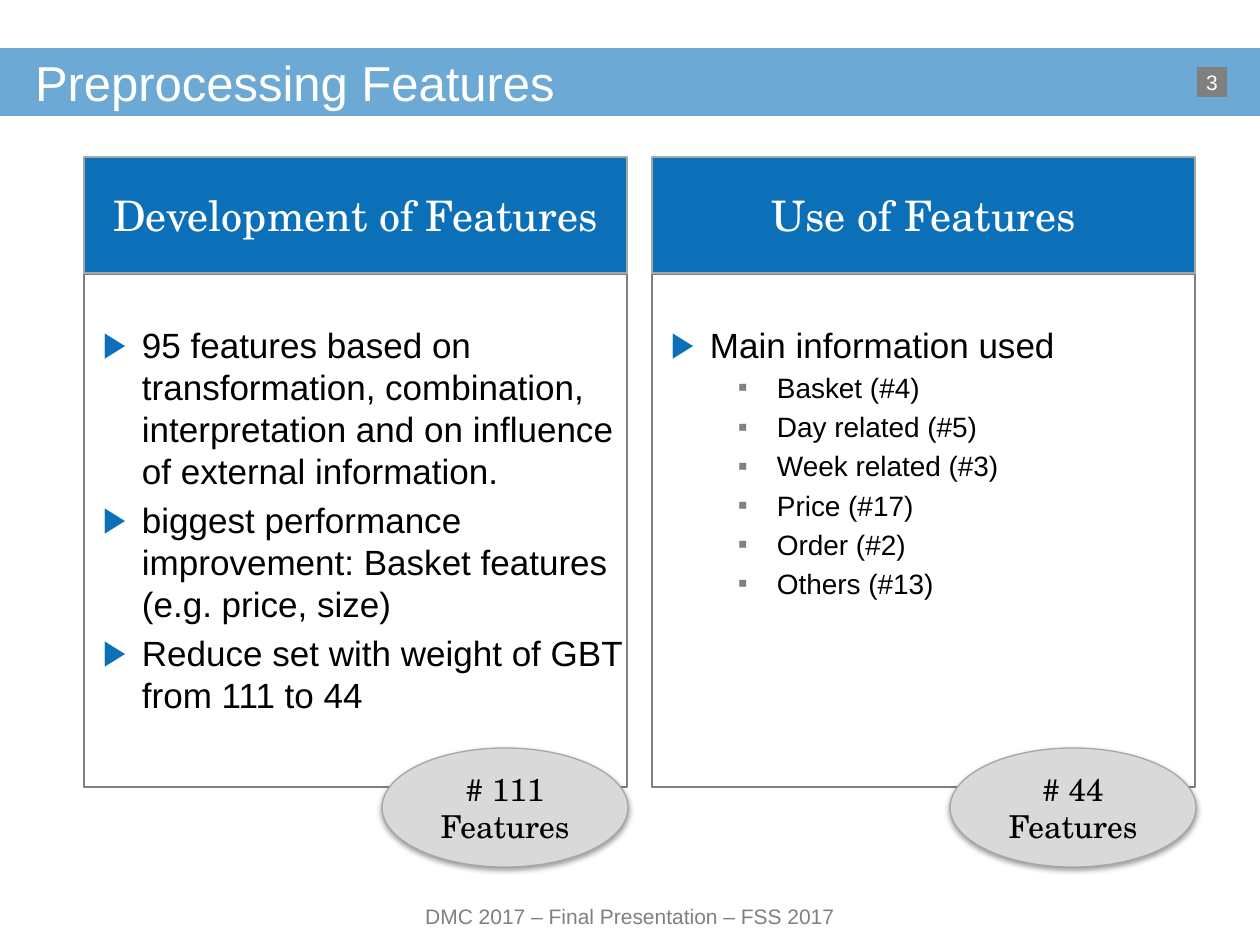
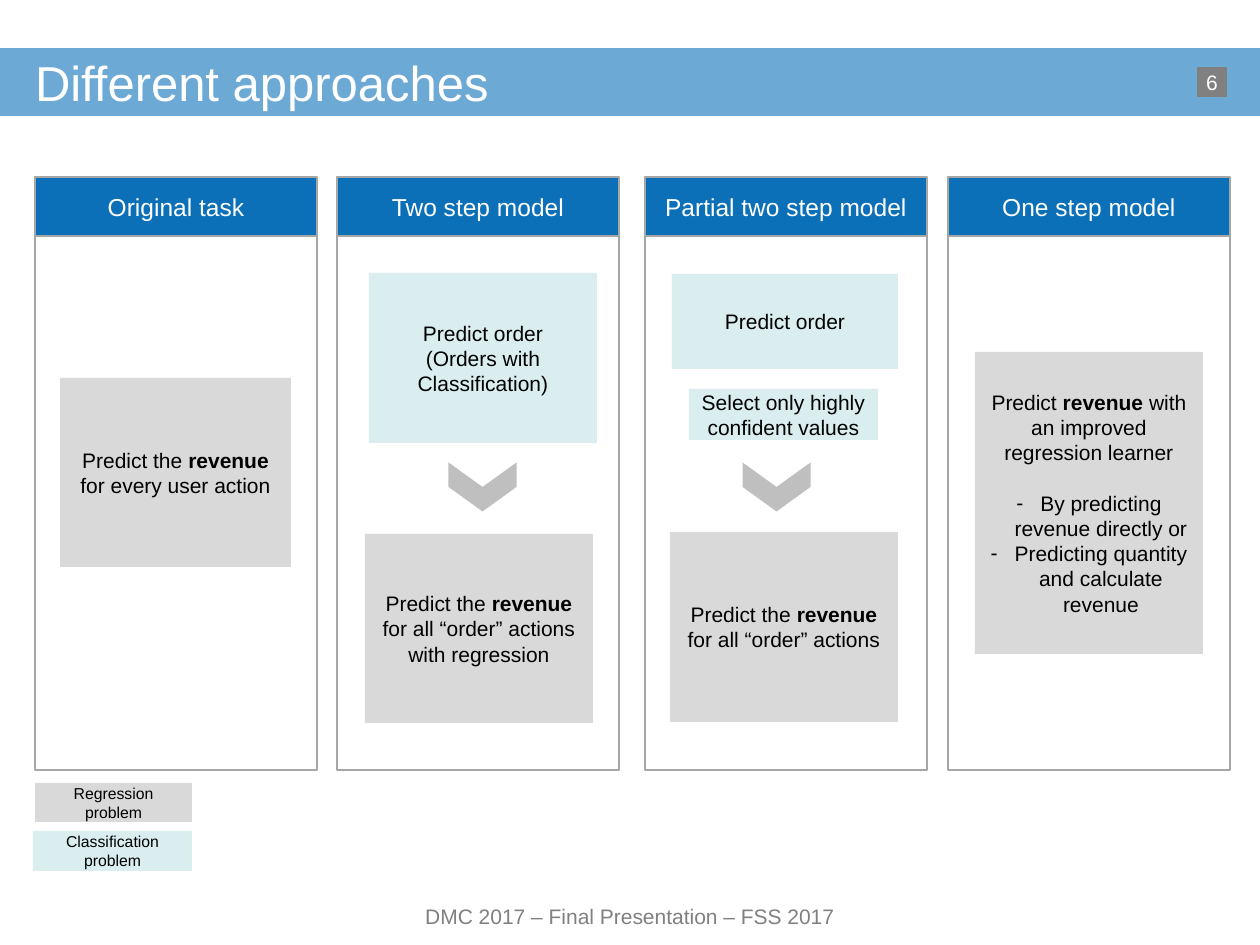
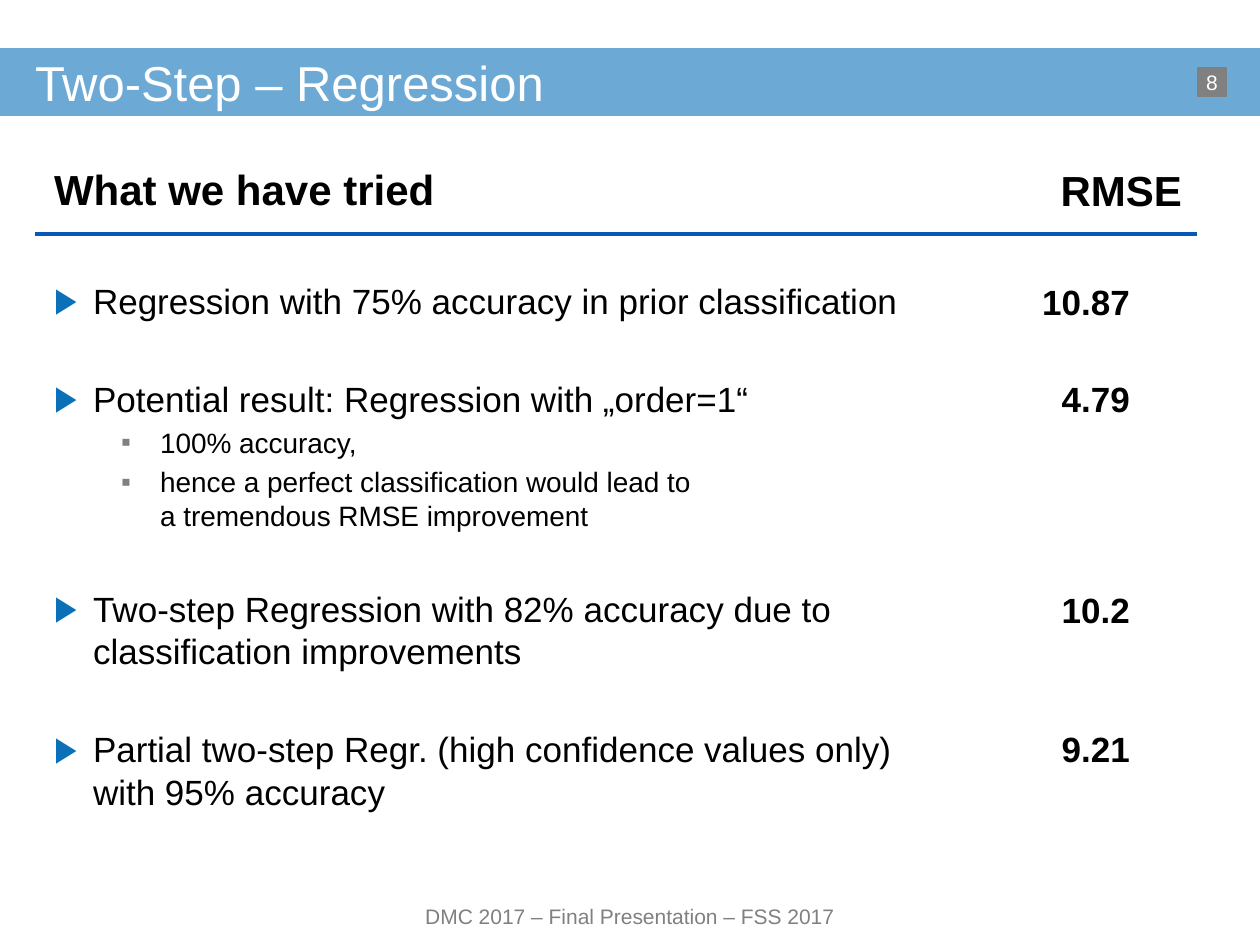
"""Build three slides on features, approaches and regression results."""
from dataclasses import dataclass
from typing import Optional

from lxml.etree import SubElement
from pptx import Presentation
from pptx.dml.color import RGBColor
from pptx.enum.shapes import MSO_CONNECTOR as CONN, MSO_SHAPE as SHAPE
from pptx.enum.text import MSO_ANCHOR as ANCHOR, MSO_AUTO_SIZE as AUTO, PP_ALIGN as ALIGN
from pptx.oxml.ns import qn
from pptx.util import Emu, Pt

EMU_PER_PX = 914400 / 126
SANS, SERIF = "Arial", "TeX Gyre Schola"
BLUE, RULE_BLUE, WHITE, BLACK = "0B70B8", "0858B8", "FFFFFF", "000000"
GRAY, EDGE, CHEVRON = "808080", "A6A6A6", "BFBFBF"
REGRESSION, CLASSIFICATION = "D9D9D9", "DAEDEF"
FOOTER = "DMC 2017 – Final Presentation – FSS 2017"


@dataclass(frozen=True)
class Box:
    left: int
    top: int
    width: int
    height: int


@dataclass(frozen=True)
class Bullet:
    char: str
    color: str
    margin: int
    hanging: int


@dataclass(frozen=True)
class Run:
    text: str
    bold: bool = False


@dataclass(frozen=True)
class Para:
    runs: tuple[Run, ...]
    size: int = 12
    color: str = BLACK
    font: str = SANS
    align: ALIGN = ALIGN.CENTER
    before: float = 0
    bullet: Optional[Bullet] = None
    margin: int = 0


@dataclass(frozen=True)
class Card:
    box: Box
    fill: str
    paras: tuple[Para, ...]


@dataclass(frozen=True)
class FeaturePanel:
    left: int
    heading: str
    items: tuple[Para, ...]
    total: str


ARROW = Bullet("▶", BLUE, 58, 39)
SQUARE = Bullet("▪", GRAY, 125, 39)
DASH = Bullet("-", BLACK, 24, 24)


def px(n: float) -> Emu:
    return Emu(round(n * EMU_PER_PX))


def rgb(color: str) -> RGBColor:
    return RGBColor.from_string(color)


def place(sp, box: Box) -> None:
    sp.left, sp.top = px(box.left), px(box.top)
    sp.width, sp.height = px(box.width), px(box.height)


def para(text: str, size: int = 12, **kw) -> Para:
    return Para((Run(text),), size, **kw)


def item(text: str, before: float = 4) -> Para:
    return para(text, 20, align=ALIGN.LEFT, before=before, bullet=ARROW)


def subitem(text: str) -> Para:
    return para(text, 16, align=ALIGN.LEFT, before=3.2, bullet=SQUARE)


def revenue(before: str, after: str) -> Para:
    return Para((Run(before), Run("revenue", True), Run(after)))


def set_bullet(p, bullet: Bullet) -> None:
    pPr = p._p.get_or_add_pPr()
    pPr.set("marL", str(px(bullet.margin)))
    pPr.set("indent", str(-px(bullet.hanging)))
    SubElement(SubElement(pPr, qn("a:buClr")), qn("a:srgbClr"), val=bullet.color)
    SubElement(pPr, qn("a:buFont"), typeface=SANS)
    SubElement(pPr, qn("a:buChar"), char=bullet.char)


def write(tf, paras: tuple[Para, ...], anchor: ANCHOR = ANCHOR.MIDDLE,
          inset: Optional[int] = None, top: int = 0, wrap: bool = True) -> None:
    tf.word_wrap, tf.auto_size, tf.vertical_anchor = wrap, AUTO.NONE, anchor
    if inset is not None:
        tf.margin_left = tf.margin_right = tf.margin_bottom = px(inset)
        tf.margin_top = px(inset + top)
    for i, entry in enumerate(paras):
        p = tf.add_paragraph() if i else tf.paragraphs[0]
        p.alignment, p.space_before = entry.align, Pt(entry.before)
        if entry.bullet:
            set_bullet(p, entry.bullet)
        elif entry.margin:
            p._p.get_or_add_pPr().set("marL", str(px(entry.margin)))
        for run in entry.runs:
            for n, part in enumerate(run.text.split("\n")):
                if n:
                    p.add_line_break()
                r = p.add_run()
                r.text = part
                r.font.name, r.font.size = entry.font, Pt(entry.size)
                r.font.bold, r.font.color.rgb = run.bold, rgb(entry.color)


def add_box(s, box: Box, fill: Optional[str] = None, line: Optional[str] = None,
            kind: SHAPE = SHAPE.RECTANGLE):
    sp = s.shapes.add_shape(kind, 0, 0, 0, 0)
    place(sp, box)
    sp.shadow.inherit = False
    if fill:
        sp.fill.solid()
        sp.fill.fore_color.rgb = rgb(fill)
    else:
        sp.fill.background()
    if line:
        sp.line.color.rgb = rgb(line)
        sp.line.width = Pt(0.75)
    else:
        sp.line.fill.background()
    return sp


def add_text(s, box: Box, paras: tuple[Para, ...], anchor: ANCHOR = ANCHOR.MIDDLE) -> None:
    tb = s.shapes.add_textbox(0, 0, 0, 0)
    place(tb, box)
    write(tb.text_frame, paras, anchor, inset=0)


def add_header(s, box: Box, text: str, size: int, font: str) -> None:
    sp = add_box(s, box, BLUE, EDGE)
    write(sp.text_frame, (para(text, size, color=WHITE, font=font),))


def add_card(s, card: Card) -> None:
    write(add_box(s, card.box, card.fill).text_frame, card.paras)


def add_total(s, box: Box, text: str) -> None:
    sp = add_box(s, box, REGRESSION, EDGE, SHAPE.OVAL)
    effects = sp.element.spPr.find(qn("a:effectLst"))
    shadow = SubElement(effects, qn("a:outerShdw"), blurRad="40000", dist="20000",
                        dir="5400000", rotWithShape="0")
    color = SubElement(shadow, qn("a:srgbClr"), val=BLACK)
    SubElement(color, qn("a:alpha"), val="38000")
    write(sp.text_frame, (para(text, 18, font=SERIF),))


def new_slide(prs, title: str, number: int):
    s = prs.slides.add_slide(prs.slide_layouts[5])
    band = add_box(s, Box(0, 48, 1260, 68), BLUE)
    color = band.element.spPr.find(qn("a:solidFill")).find(qn("a:srgbClr"))
    SubElement(color, qn("a:alpha"), val="60000")
    heading = s.shapes.title
    heading.element.addprevious(band.element)
    place(heading, Box(35, 48, 1190, 68))
    write(heading.text_frame, (para(title, 28, color=WHITE, align=ALIGN.LEFT),), inset=0)
    add_text(s, Box(332, 899, 596, 35), (para(FOOTER, color=GRAY),))
    badge = add_box(s, Box(1197, 67, 30, 30), GRAY)
    write(badge.text_frame, (para(str(number), color=WHITE),), inset=0, wrap=False)
    return s


def features_slide(prs) -> None:
    s = new_slide(prs, "Preprocessing Features", 3)
    uses = ("Basket (#4)", "Day related (#5)", "Week related (#3)",
            "Price (#17)", "Order (#2)", "Others (#13)")
    panels = (
        FeaturePanel(84, "Development of Features", (
            item("95 features based on transformation, combination, interpretation "
                 "and on influence of external information.", 0),
            item("biggest performance improvement: Basket features (e.g. price, size)"),
            item("Reduce set with weight of GBT from 111 to 44"),
        ), "# 111 Features"),
        FeaturePanel(652, "Use of Features",
                     (item("Main information used", 0), *map(subitem, uses)),
                     "# 44 Features"),
    )
    for panel in panels:
        body = add_box(s, Box(panel.left, 274, 543, 513), line=GRAY)
        write(body.text_frame, panel.items, ANCHOR.TOP, inset=0, top=49)
        add_header(s, Box(panel.left, 157, 543, 116), panel.heading, 24, SERIF)
        add_total(s, Box(panel.left + 298, 748, 246, 119), panel.total)


def approaches_slide(prs) -> None:
    s = new_slide(prs, "Different approaches", 6)
    columns = ((35, "Original task"), (337, "Two step model"),
               (645, "Partial two step model"), (948, "One step model"))
    for left, name in columns:
        add_box(s, Box(left, 236, 282, 534), line=EDGE)
        add_header(s, Box(left, 177, 282, 59), name, 14, SANS)
    all_orders = revenue("Predict the ", " for all “order” actions")
    cards = (
        Card(Box(60, 378, 231, 189), REGRESSION,
             (revenue("Predict the ", " for every user action"),)),
        Card(Box(369, 273, 228, 170), CLASSIFICATION,
             (para("Predict order"), para("(Orders with Classification)"))),
        Card(Box(365, 534, 228, 189), REGRESSION, (all_orders, para("with regression"))),
        Card(Box(672, 274, 226, 95), CLASSIFICATION, (para("Predict order"),)),
        Card(Box(689, 389, 189, 51), CLASSIFICATION,
             (para("Select only highly confident values"),)),
        Card(Box(670, 532, 228, 190), REGRESSION, (all_orders,)),
        Card(Box(975, 352, 228, 302), REGRESSION, (
            revenue("Predict ", " with an improved regression learner"),
            para("By predicting revenue directly or", before=14.4, bullet=DASH),
            para("Predicting quantity and calculate revenue", bullet=DASH))),
        Card(Box(35, 783, 157, 39), REGRESSION, (para("Regression problem", 9),)),
        Card(Box(33, 831, 159, 40), CLASSIFICATION, (para("Classification problem", 9),)),
    )
    for card in cards:
        add_card(s, card)
    for left in (458, 752):
        add_box(s, Box(left, 453, 49, 68), CHEVRON, kind=SHAPE.CHEVRON).rotation = 90


def regression_slide(prs) -> None:
    s = new_slide(prs, "Two-Step – Regression", 8)
    add_text(s, Box(35, 163, 915, 727), (
        Para((Run("What we have tried", True),), 24, align=ALIGN.LEFT, margin=19),
        item("Regression with 75% accuracy in prior classification", 38),
        item("Potential result: Regression with „order=1“", 32),
        subitem("100% accuracy,"),
        subitem("hence a perfect classification would lead to\na tremendous RMSE improvement"),
        item("Two-step Regression with 82% accuracy due to classification improvements", 32),
        item("Partial two-step Regr. (high confidence values only) with 95% accuracy", 32),
    ), ANCHOR.TOP)
    results = (("RMSE", 24, 1182, 190), ("10.87", 20, 1130, 301), ("4.79", 20, 1130, 399),
               ("10.2", 20, 1130, 609), ("9.21", 20, 1130, 749))
    for text, size, right, middle in results:
        value = Para((Run(text, True),), size, align=ALIGN.RIGHT)
        add_text(s, Box(right - 160, middle - 25, 160, 50), (value,))
    rule = s.shapes.add_connector(CONN.STRAIGHT, px(35), px(234), px(1197), px(234))
    rule.line.color.rgb, rule.line.width = rgb(RULE_BLUE), Pt(2.25)
    SubElement(rule.element.spPr, qn("a:effectLst"))


def main() -> None:
    prs = Presentation()
    prs.slide_width, prs.slide_height = px(1260), px(945)
    features_slide(prs)
    approaches_slide(prs)
    regression_slide(prs)
    prs.save("out.pptx")


if __name__ == "__main__":
    main()
